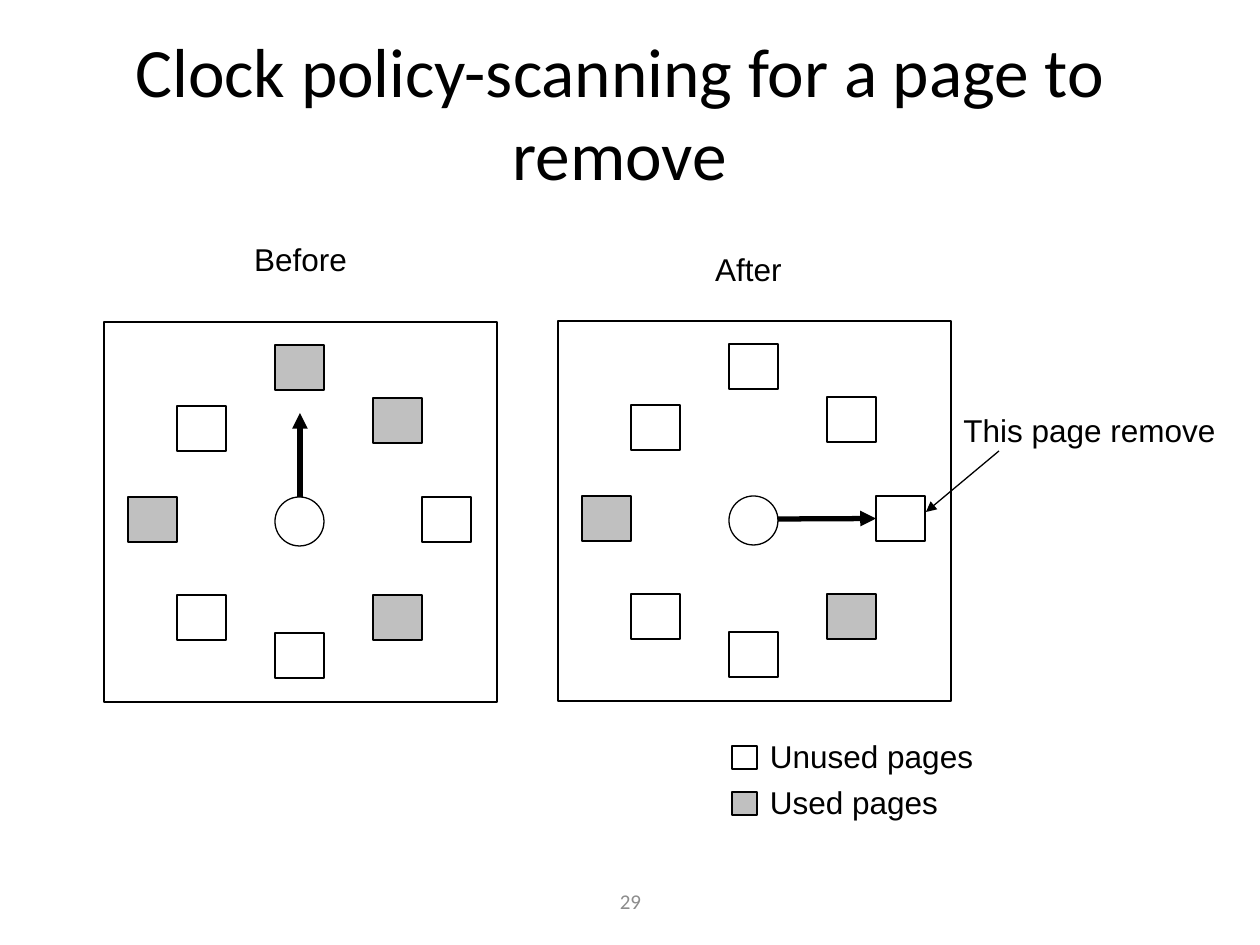
from lxml import etree
from pptx import Presentation
from pptx.dml.color import RGBColor
from pptx.enum.shapes import MSO_CONNECTOR, MSO_SHAPE
from pptx.enum.text import MSO_ANCHOR, PP_ALIGN
from pptx.oxml.ns import qn
from pptx.util import Pt

SCALE = 914400 / 126
BLACK, UNUSED, USED = "000000", "FFFFFF", "C0C0C0"
PAGE_W, PAGE_H = 49, 45
FRAME_W, FRAME_H = 393, 380
# Clockwise from twelve o'clock: column (in page widths) and top within the frame
PAGE_SPOTS = [(3, 23), (5, 76), (6, 175), (5, 273), (3, 311), (1, 273), (0, 175), (1, 84)]


def px(n):
    return round(n * SCALE)


def color(value):
    return RGBColor.from_string(value)


def add_shape(s, kind, x, y, w, h, fill=None):
    sp = s.shapes.add_shape(kind, px(x), px(y), px(w), px(h))
    sp.shadow.inherit = False
    if fill:
        sp.fill.solid()
        sp.fill.fore_color.rgb = color(fill)
    else:
        sp.fill.background()
    sp.line.color.rgb = color(BLACK)
    sp.line.width = Pt(0.75)
    return sp


def add_text(s, text, x, y, w, h, size=18, font="Arial", rgb=BLACK,
             align=PP_ALIGN.CENTER, anchor=MSO_ANCHOR.TOP, inset=13):
    tf = s.shapes.add_textbox(px(x), px(y), px(w), px(h)).text_frame
    tf.word_wrap = True
    tf.vertical_anchor = anchor
    tf.margin_left = tf.margin_right = px(inset)
    p = tf.paragraphs[0]
    p.alignment = align
    r = p.add_run()
    r.text = text
    r.font.size = Pt(size)
    r.font.name = font
    r.font.color.rgb = color(rgb)


def add_arrow(s, x1, y1, x2, y2, width):
    line = s.shapes.add_connector(MSO_CONNECTOR.STRAIGHT, px(x1), px(y1), px(x2), px(y2))
    line.line.color.rgb = color(BLACK)
    line.line.width = Pt(width)
    etree.SubElement(line.line._get_or_add_ln(), qn("a:tailEnd"), type="triangle")
    etree.SubElement(line._element.spPr, qn("a:effectLst"))
    return line


def add_clock(s, x, y, used):
    """Draw the frame, hub and ring of pages; return the pages clockwise."""
    add_shape(s, MSO_SHAPE.RECTANGLE, x, y, FRAME_W, FRAME_H)
    add_shape(s, MSO_SHAPE.OVAL, x + 171, y + 175, PAGE_W, PAGE_W, UNUSED)
    return [add_shape(s, MSO_SHAPE.RECTANGLE, x + 24 + col * PAGE_W, y + top,
                      PAGE_W, PAGE_H, USED if i in used else UNUSED)
            for i, (col, top) in enumerate(PAGE_SPOTS)]


def add_before(s, x, y):
    add_clock(s, x, y, {0, 1, 3, 6})
    add_arrow(s, x + 196, y + 175, x + 196, y + 91, 3)
    add_text(s, "Before", x + 98, y - 88, 197, 55)


def add_after(s, x, y):
    pages = add_clock(s, x, y, {3, 6})
    hand = add_arrow(s, x + 220, y + 198, x + 318, y + 198, 3)
    hand.end_connect(pages[2], 1)
    add_text(s, "After", x + 92, y - 77, 197, 55)
    add_text(s, "This page remove", x + 392, y + 84, 279, 55, inset=6)
    add_arrow(s, x + 441, y + 130, x + 368, y + 191, 0.75)


def add_legend(s, x, y):
    for i, (label, fill) in enumerate([("Unused pages", UNUSED), ("Used pages", USED)]):
        top = y + 46 * i
        add_shape(s, MSO_SHAPE.RECTANGLE, x, top, 25, 23, fill)
        add_text(s, label, x + 25, top - 15, 267, 55, align=PP_ALIGN.LEFT)


def main():
    prs = Presentation()
    prs.slide_width, prs.slide_height = px(1260), px(945)
    s = prs.slides.add_slide(prs.slide_layouts[6])
    add_text(s, "Clock policy-scanning for a page to remove", 53, 32, 1134, 158,
             size=39.6, font="Calibri", anchor=MSO_ANCHOR.MIDDLE)
    add_before(s, 104, 322)
    add_after(s, 558, 321)
    add_legend(s, 732, 746)
    add_text(s, "29", 431, 876, 399, 50, size=12, font="Calibri", rgb="8C8C8C",
             anchor=MSO_ANCHOR.MIDDLE)
    prs.save("out.pptx")


if __name__ == "__main__":
    main()
